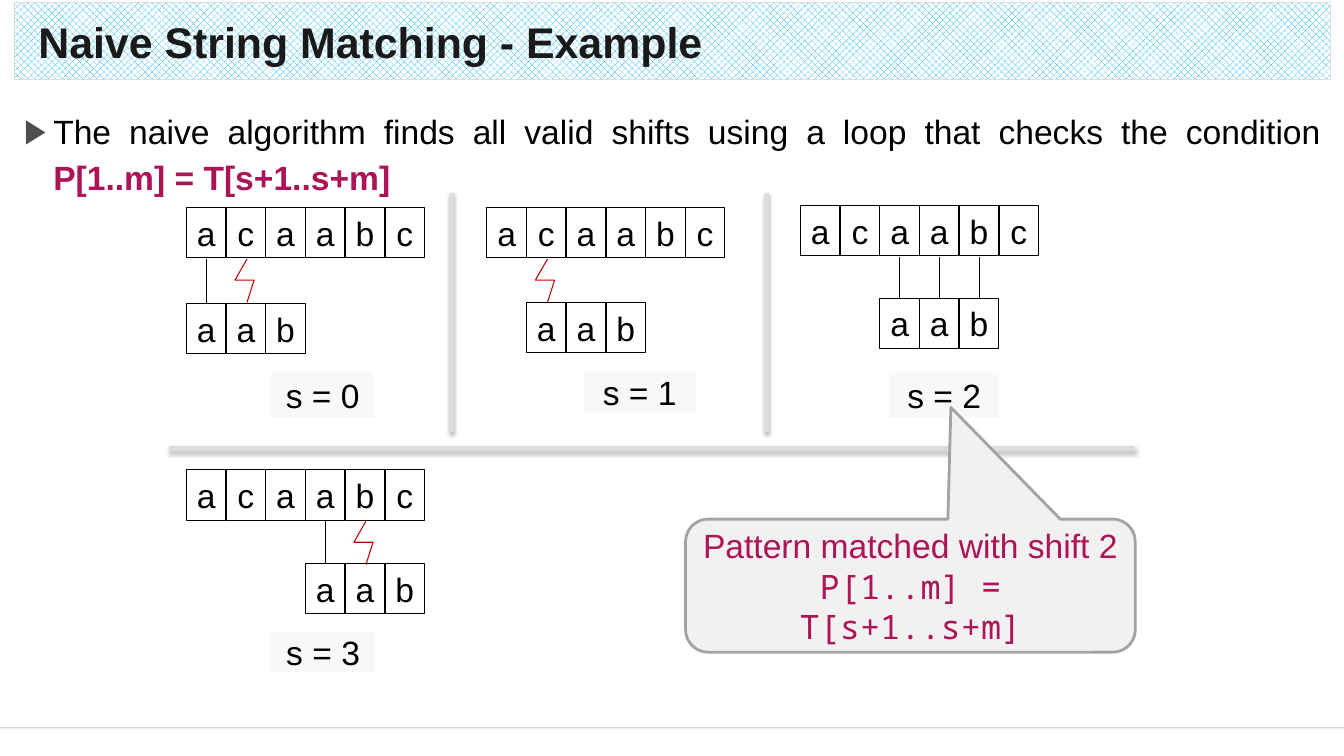
from lxml import etree
from pptx import Presentation
from pptx.dml.color import RGBColor
from pptx.enum.dml import MSO_PATTERN_TYPE as Pattern
from pptx.enum.shapes import MSO_CONNECTOR_TYPE as Connector, MSO_SHAPE as Shape
from pptx.enum.text import MSO_ANCHOR as Anchor, MSO_AUTO_SIZE as AutoSize, PP_ALIGN as Align
from pptx.oxml import parse_xml
from pptx.oxml.ns import nsdecls, qn
from pptx.util import Pt

EMU_PER_PX = 9144  # 100 px to the inch
COLORS = {
    "black": "000000", "title": "1A1A1A", "accent": "AD1457", "bullet": "4D4D4D",
    "hatch": "00B0F0", "white": "FFFFFF", "rule": "DDDDDD", "footer": "BFBFBF",
    "mismatch": "C00000", "label": "F8F8F8", "callout": "F1F1F1", "callout_line": "A3A3A3",
}
SANS, MONO = "Arial", "Noto Sans Mono"
CONDITION = "P[1..m] = T[s+1..s+m]"
CELL_WIDTH, CELL_HEIGHT, CELL_PITCH = 39, 50, 39.37
EXAMPLES = [
    {"left": 185, "text_top": 206, "pattern_top": 301, "shift": 0,
     "matches": [0], "mismatch": 1, "label": (269, 369, 102, 46)},
    {"left": 483, "text_top": 206, "pattern_top": 300, "shift": 1,
     "matches": [], "mismatch": 1, "label": (579, 369, 111, 40)},
    {"left": 794, "text_top": 204, "pattern_top": 296, "shift": 2,
     "matches": [2, 3, 4], "mismatch": None, "label": (882, 369, 109, 46)},
    {"left": 185, "text_top": 466, "pattern_top": 559, "shift": 3,
     "matches": [3], "mismatch": 4, "label": (269, 627, 103, 40)},
]


def px(*lengths):
    return [round(length * EMU_PER_PX) for length in lengths]


def rgb(name):
    return RGBColor.from_string(COLORS[name])


class SlideWriter:
    def __init__(self, page):
        self.page = page

    def style_line(self, line, color, width):
        if color is None:
            line.fill.background()
            return
        line.color.rgb = rgb(color)
        line.width = Pt(width)

    def span(self, para, text, color="black", size=24, font=SANS, bold=False):
        run = para.add_run()
        run.text = text
        formats = {"name": font, "size": Pt(size), "bold": bold}
        for name, value in formats.items():
            setattr(run.font, name, value)
        run.font.color.rgb = rgb(color)

    def box(self, bounds, lines=(), kind=Shape.RECTANGLE, fill=None, line=None,
            width=0.75, align=Align.CENTER, **frame_formats):
        """Each line of text is a dict of span arguments."""
        box = self.page.shapes.add_shape(kind, *px(*bounds))
        box.shadow.inherit = False
        if fill:
            box.fill.solid()
            box.fill.fore_color.rgb = rgb(fill)
        else:
            box.fill.background()
        self.style_line(box.line, line, width)
        frame = box.text_frame
        formats = {"word_wrap": True, "vertical_anchor": Anchor.MIDDLE} | frame_formats
        for name, value in formats.items():
            setattr(frame, name, value)
        for index, words in enumerate(lines):
            para = frame.add_paragraph() if index else frame.paragraphs[0]
            para.alignment = align
            self.span(para, **words)
        return box

    def line(self, start, end, color="black", width=0.75, shadow=False, opacity=None):
        line = self.page.shapes.add_connector(Connector.STRAIGHT, *px(*start, *end))
        self.style_line(line.line, color, width)
        if opacity:
            hue = line.line.color._xFill.find(qn("a:srgbClr"))
            etree.SubElement(hue, qn("a:alpha")).set("val", str(opacity * 1000))
        effect = (
            f'<a:outerShdw blurRad="{Pt(3.1)}" dist="{Pt(1.8)}" dir="5400000" rotWithShape="0">'
            '<a:srgbClr val="000000"><a:alpha val="35000"/></a:srgbClr></a:outerShdw>'
        ) if shadow else ""
        line._element.spPr.append(
            parse_xml(f'<a:effectLst {nsdecls("a")}>{effect}</a:effectLst>'))

    def zigzag(self, x, y):
        builder = self.page.shapes.build_freeform(x, y, scale=EMU_PER_PX)
        builder.add_line_segments(
            [(x - 12, y + 21), (x + 7, y + 21), (x, y + 43)], close=False)
        bolt = builder.convert_to_shape()
        bolt.shadow.inherit = False
        bolt.fill.background()
        self.style_line(bolt.line, "mismatch", 0.75)

    def bullet(self, para, indent):
        properties = para._p.get_or_add_pPr()
        properties.set("marL", str(px(indent)[0]))
        properties.set("indent", str(px(-indent)[0]))
        hue = etree.SubElement(properties, qn("a:buClr"))
        etree.SubElement(hue, qn("a:srgbClr")).set("val", COLORS["bullet"])
        etree.SubElement(properties, qn("a:buFont")).set("typeface", SANS)
        etree.SubElement(properties, qn("a:buChar")).set("char", "▶")

    def cells(self, letters, left, top):
        for column, letter in enumerate(letters):
            self.box((left + column * CELL_PITCH, top, CELL_WIDTH, CELL_HEIGHT),
                     [{"text": letter}], line="black", auto_size=AutoSize.SHAPE_TO_FIT_TEXT)

    def example(self, left, text_top, pattern_top, shift, matches, mismatch, label):
        self.cells("acaabc", left, text_top)
        self.cells("aab", left + shift * CELL_PITCH, pattern_top)
        text_bottom = text_top + CELL_HEIGHT + 1
        for column in matches:
            center = left + (column + 0.5) * CELL_PITCH
            self.line((center, text_bottom), (center, pattern_top))
        if mismatch is not None:
            self.zigzag(round(left + (mismatch + 0.5) * CELL_PITCH) + 1, text_bottom)
        self.box(label, [{"text": f"s = {shift}"}], fill="label")


def main():
    deck = Presentation()
    deck.slide_width, deck.slide_height = px(1333, 750)
    page = deck.slides.add_slide(deck.slide_layouts[6])
    writer = SlideWriter(page)

    # Footer rule and title band
    writer.line((0, 722), (1333, 722), "footer", 1, opacity=70)
    side, edge = px(24, 12)
    title = writer.box(
        (14, 3, 1306, 76),
        [{"text": "Naive String Matching - Example", "color": "title", "size": 30.6, "bold": True}],
        line="rule", align=Align.LEFT,
        margin_left=side, margin_right=side, margin_top=edge, margin_bottom=edge)
    title.fill.patterned()
    title.fill.pattern = Pattern.PERCENT_50
    title.fill.fore_color.rgb = rgb("hatch")
    title.fill.back_color.rgb = rgb("white")

    # Statement of the condition
    body = page.shapes.add_textbox(*px(14, 94, 1306, 617)).text_frame
    body.word_wrap = True
    for side_name in ("left", "right", "top", "bottom"):
        setattr(body, f"margin_{side_name}", px(10)[0])
    para = body.paragraphs[0]
    writer.bullet(para, 29)
    para.alignment = Align.JUSTIFY
    para.line_spacing = 1.15
    writer.span(para, "The naive algorithm finds all valid shifts using a loop "
                      "that checks the condition ")
    writer.span(para, CONDITION, "accent", bold=True)

    # The four shifts
    for example in EXAMPLES:
        writer.example(**example)

    # Dividers between the shifts
    for start, end in [((448, 191), (448, 429)), ((761, 191), (761, 429)),
                       ((168, 445), (1126, 445))]:
        writer.line(start, end, "rule", 3, shadow=True)

    # Callout on the valid shift
    callout = writer.box(
        (680, 515, 446, 132),
        [{"text": "Pattern matched with shift 2", "color": "accent"},
         {"text": CONDITION, "color": "accent", "font": MONO}],
        kind=Shape.ROUNDED_RECTANGULAR_CALLOUT, fill="callout", line="callout_line", width=2)
    for index, value in enumerate((0.09, -1.34, 0.17)):
        callout.adjustments[index] = value

    deck.save("out.pptx")


if __name__ == "__main__":
    main()
